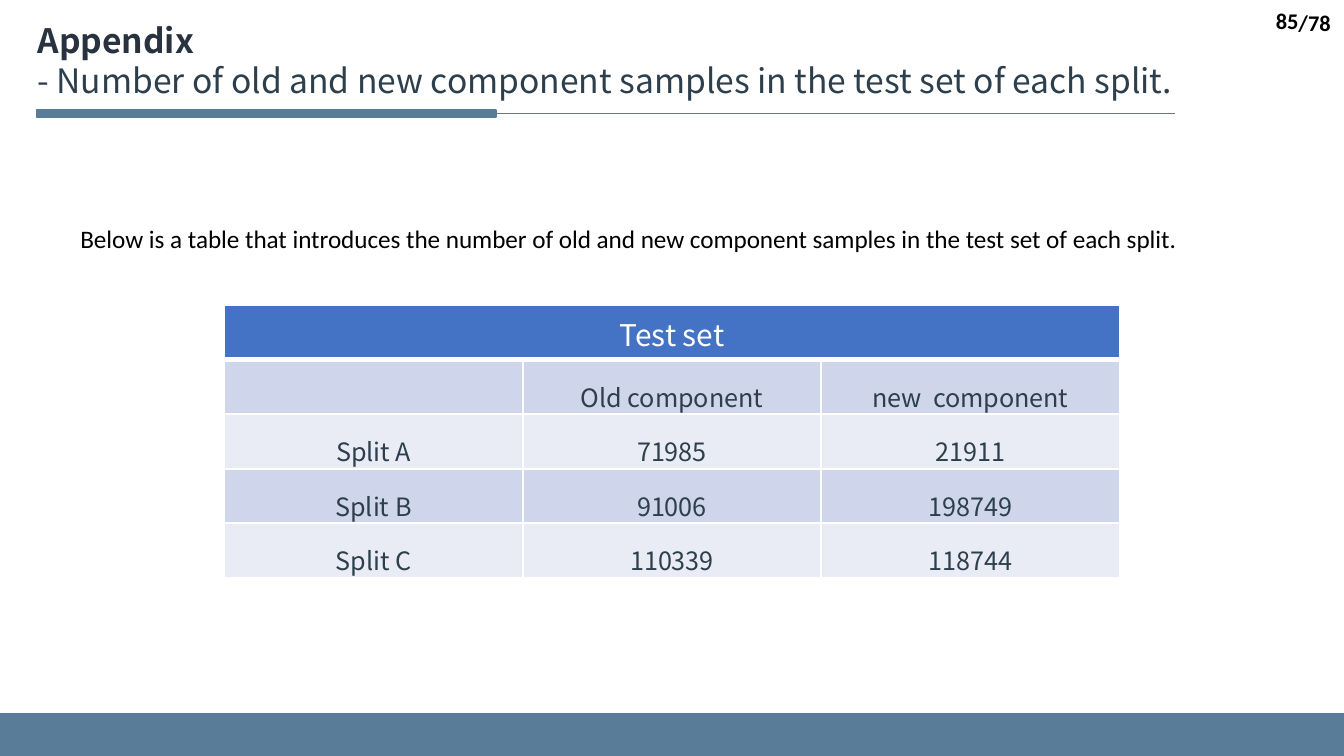
from dataclasses import dataclass

from lxml.etree import SubElement
from pptx import Presentation
from pptx.dml.color import RGBColor as RGB
from pptx.enum.shapes import MSO_CONNECTOR as Link, MSO_SHAPE as Shape
from pptx.enum.text import MSO_ANCHOR as Anchor, PP_ALIGN as Align
from pptx.oxml.ns import qn
from pptx.util import Cm, Pt


@dataclass(frozen=True)
class Theme:
    steel: str = "597D98"
    navy: str = "29323F"
    slate: str = "2D3F4C"
    black: str = "000000"
    white: str = "FFFFFF"
    head: str = "4472C4"
    bands: tuple = ("CFD5EA", "E9EBF5")
    sans: str = "Noto Sans CJK SC"
    plain: str = "Calibri"
    title: float = 18
    header: float = 16
    body: float = 13.5
    page: float = 12


theme = Theme()


def write(para, text, color, **form):
    run = para.add_run()
    run.text = text
    run.font.color.rgb = RGB.from_string(color)
    for key, value in form.items():
        setattr(run.font, key, value)


def add_box(left, top, width, height, **form):
    """Add a text box and return its frame."""
    box = slide.shapes.add_textbox(Cm(left), Cm(top), Cm(width), Cm(height))
    for key, value in form.items():
        setattr(box.text_frame, key, value)
    return box.text_frame


deck = Presentation()
deck.slide_width, deck.slide_height = Cm(25.4), Cm(14.29)
slide = deck.slides.add_slide(deck.slide_layouts[6])
steel = RGB.from_string(theme.steel)

# Footer band, title rule and its thick start
rule = slide.shapes.add_connector(Link.STRAIGHT, Cm(22.2), Cm(2.14), Cm(0.69), Cm(2.14))
rule.line.color.rgb = steel
rule.line.width = Pt(0.5)
SubElement(rule._element.spPr, qn("a:effectLst"))

for left, top, width, height, edge in (
    (0, 13.48, 25.4, 0.81, 0),
    (0.69, 2.08, 8.69, 0.13, 1),
):
    bar = slide.shapes.add_shape(Shape.RECTANGLE, Cm(left), Cm(top), Cm(width), Cm(height))
    bar.shadow.inherit = False
    bar.fill.solid()
    bar.fill.fore_color.rgb = steel
    if edge:
        bar.line.color.rgb = steel
        bar.line.width = Pt(edge)
    else:
        bar.line.fill.background()

# Title
para = add_box(0.46, 0.25, 23.2, 1.8, word_wrap=False).paragraphs[0]
form = {"name": theme.sans, "size": Pt(theme.title)}
write(para, "Appendix", theme.navy, bold=True, **form)
para.add_line_break()
write(para, "- Number of old and new component samples in the test set of each split.",
      theme.slate, bold=False, **form)

# Table of sample counts
rows = (
    ("Test set", "", ""),
    ("", "Old component", "new  component"),
    ("Split A", "71985", "21911"),
    ("Split B", "91006", "198749"),
    ("Split C", "110339", "118744"),
)
table = slide.shapes.add_table(len(rows), 3, Cm(4.24), Cm(5.77), Cm(16.92), Cm(5.15)).table
table.cell(0, 0).merge(table.cell(0, 2))
inset = {"margin_left": Cm(0.02), "margin_right": Cm(0.02), "margin_top": Cm(0.02),
         "margin_bottom": 0, "vertical_anchor": Anchor.BOTTOM}

for i, row in enumerate(rows):
    for j, text in enumerate(row):
        cell = table.cell(i, j)
        props = cell._tc.get_or_add_tcPr()
        for side in "LRTB":
            width = 3 if i == 0 and side == "B" else 1
            line = SubElement(props, qn(f"a:ln{side}"), w=str(Pt(width)))
            fill = SubElement(line, qn("a:solidFill"))
            SubElement(fill, qn("a:srgbClr"), val=theme.white)
        cell.fill.solid()
        cell.fill.fore_color.rgb = RGB.from_string(theme.bands[(i - 1) % 2] if i else theme.head)
        if not text:
            continue
        if i:
            for key, value in inset.items():
                setattr(cell, key, value)
        para = cell.text_frame.paragraphs[0]
        para.alignment = Align.CENTER
        write(para, text, theme.slate if i else theme.white, name=theme.sans,
              size=Pt(theme.body if i else theme.header))

# Lead sentence
para = add_box(1.27, 4.09, 22.86, 0.84, word_wrap=True).paragraphs[0]
write(para, "Below is a table that introduces the number of old and new component samples "
      "in the test set of each split.", theme.black, name=theme.plain, size=Pt(theme.body))

# Page number and page count
for text, left, top, width in (("/78", 24.23, 0.03, 1.17), ("85", 19.69, 0, 5.1)):
    para = add_box(left, top, width, 0.78, word_wrap=True,
                   vertical_anchor=Anchor.MIDDLE).paragraphs[0]
    para.alignment = Align.RIGHT
    write(para, text, theme.black, name=theme.plain, size=Pt(theme.page), bold=True)

deck.save("out.pptx")
